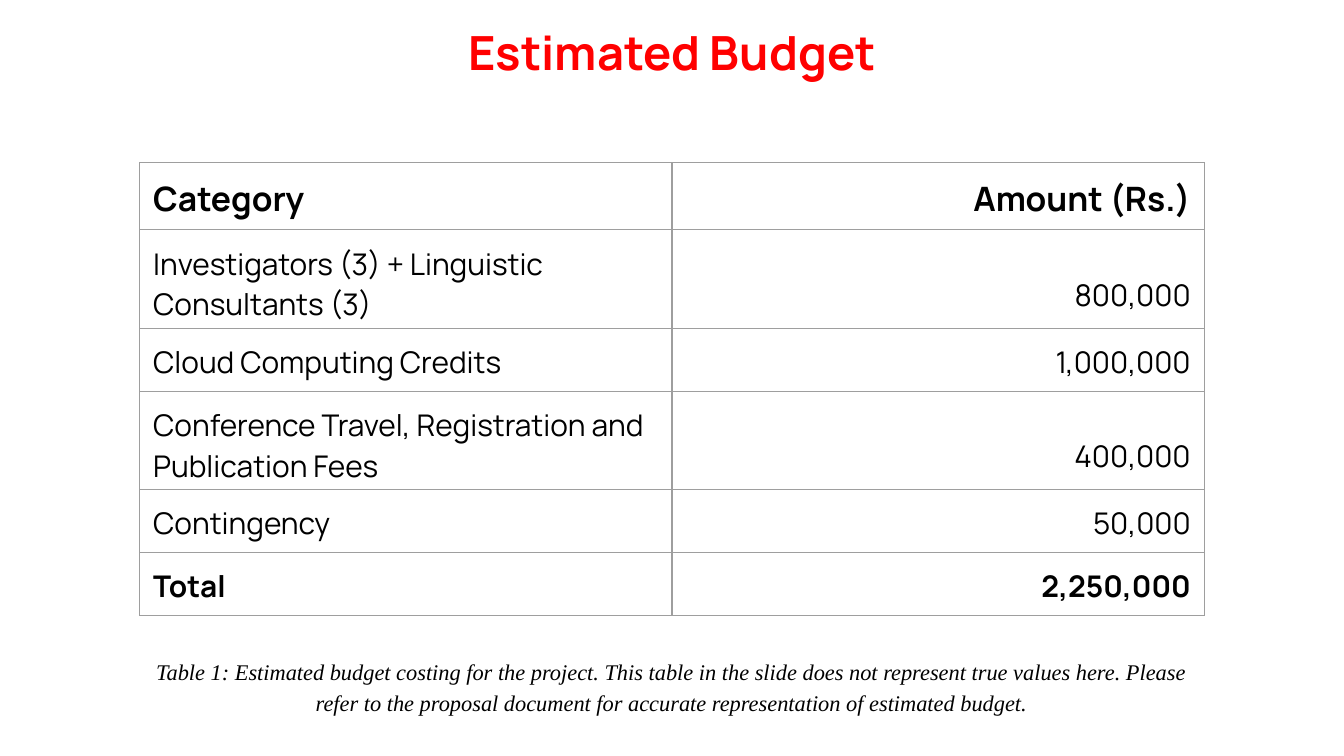
from dataclasses import dataclass

from lxml import etree
from pptx import Presentation
from pptx.dml.color import RGBColor
from pptx.enum.text import MSO_ANCHOR, MSO_AUTO_SIZE, PP_ALIGN
from pptx.oxml.ns import qn
from pptx.util import Inches, Pt

LEFT, CENTER, RIGHT = PP_ALIGN.LEFT, PP_ALIGN.CENTER, PP_ALIGN.RIGHT
TOP, MIDDLE, BOTTOM = MSO_ANCHOR.TOP, MSO_ANCHOR.MIDDLE, MSO_ANCHOR.BOTTOM
GROW = MSO_AUTO_SIZE.SHAPE_TO_FIT_TEXT

SLIDE_WIDTH = 10
SLIDE_HEIGHT = SLIDE_WIDTH * 9 / 16
MARGIN = 1.04
CONTENT_WIDTH = SLIDE_WIDTH - 2 * MARGIN
TABLE_TOP = 1.21
HEADER_HEIGHT, ROW_HEIGHT = 0.48, 0.42  # minimum heights: rows grow with their text
INSET = Inches(0.1)
COLORS = {"title": "FF0000", "text": "000000", "border": "9E9E9E"}


@dataclass(frozen=True)
class TextStyle:
    size: float
    font: str = "Manrope"
    color: str = "text"
    bold: bool = False
    italic: bool = False


@dataclass(frozen=True)
class BudgetRow:
    category: str
    amount: str
    style: TextStyle
    height: float = ROW_HEIGHT


TITLE = TextStyle(25.2, color="title", bold=True)
HEADER = TextStyle(18, bold=True)
ITEM = TextStyle(16)
TOTAL = TextStyle(16, bold=True)
CAPTION = TextStyle(12, font="Times New Roman", italic=True)

BUDGET = [
    BudgetRow("Category", "Amount (Rs.)", HEADER, HEADER_HEIGHT),
    BudgetRow("Investigators (3) + Linguistic Consultants (3)", "800,000", ITEM),
    BudgetRow("Cloud Computing Credits", "1,000,000", ITEM),
    BudgetRow("Conference Travel, Registration and Publication Fees", "400,000", ITEM),
    BudgetRow("Contingency", "50,000", ITEM),
    BudgetRow("Total", "2,250,000", TOTAL),
]


def write_text(text_frame, text: str, style: TextStyle, alignment):
    text_frame.text = text
    paragraph = text_frame.paragraphs[0]
    paragraph.alignment = alignment
    font = paragraph.runs[0].font
    font.name, font.size = style.font, Pt(style.size)
    font.bold, font.italic = style.bold, style.italic
    font.color.rgb = RGBColor.from_string(COLORS[style.color])
    return paragraph


def set_insets(target) -> None:
    """Give a cell or a text frame equal margins."""
    target.margin_left = target.margin_right = INSET
    target.margin_top = target.margin_bottom = INSET


def add_text(slide, box: tuple, text: str, style: TextStyle, anchor):
    shape = slide.shapes.add_textbox(*map(Inches, box))
    text_frame = shape.text_frame
    text_frame.word_wrap = True
    text_frame.vertical_anchor = anchor
    set_insets(text_frame)
    return text_frame, write_text(text_frame, text, style, CENTER)


def set_borders(cell) -> None:
    properties = cell._tc.get_or_add_tcPr()
    for position, side in enumerate(("lnL", "lnR", "lnT", "lnB")):
        line = etree.Element(qn(f"a:{side}"), w=str(Pt(0.75)))
        fill = etree.SubElement(line, qn("a:solidFill"))
        etree.SubElement(fill, qn("a:srgbClr"), val=COLORS["border"])
        properties.insert(position, line)


def fill_cell(cell, text: str, style: TextStyle, alignment, anchor) -> None:
    cell.fill.background()
    cell.vertical_anchor = anchor
    set_insets(cell)
    write_text(cell.text_frame, text, style, alignment)
    set_borders(cell)


def add_budget_table(slide, rows: list[BudgetRow]) -> None:
    height = sum(row.height for row in rows)
    box = (MARGIN, TABLE_TOP, CONTENT_WIDTH, height)
    table = slide.shapes.add_table(len(rows), 2, *map(Inches, box)).table
    table.first_row = table.horz_banding = False
    for index, row in enumerate(rows):
        table.rows[index].height = Inches(row.height)
        fill_cell(table.cell(index, 0), row.category, row.style, LEFT, MIDDLE)
        fill_cell(table.cell(index, 1), row.amount, row.style, RIGHT, BOTTOM)


def main() -> None:
    presentation = Presentation()
    presentation.slide_width = Inches(SLIDE_WIDTH)
    presentation.slide_height = Inches(SLIDE_HEIGHT)
    slide = presentation.slides.add_slide(presentation.slide_layouts[6])

    add_text(slide, (0.34, 0.07, 9.32, 0.63), "Estimated Budget", TITLE, MIDDLE)
    add_budget_table(slide, BUDGET)
    text_frame, paragraph = add_text(
        slide,
        (MARGIN, 4.77, CONTENT_WIDTH, 0.64),
        "Table 1: Estimated budget costing for the project. This table in the slide "
        "does not represent true values here. Please refer to the proposal document "
        "for accurate representation of estimated budget.",
        CAPTION,
        TOP,
    )
    text_frame.auto_size = GROW
    paragraph.line_spacing = 1.15
    paragraph.space_before = paragraph.space_after = Pt(12)

    presentation.save("out.pptx")


if __name__ == "__main__":
    main()
